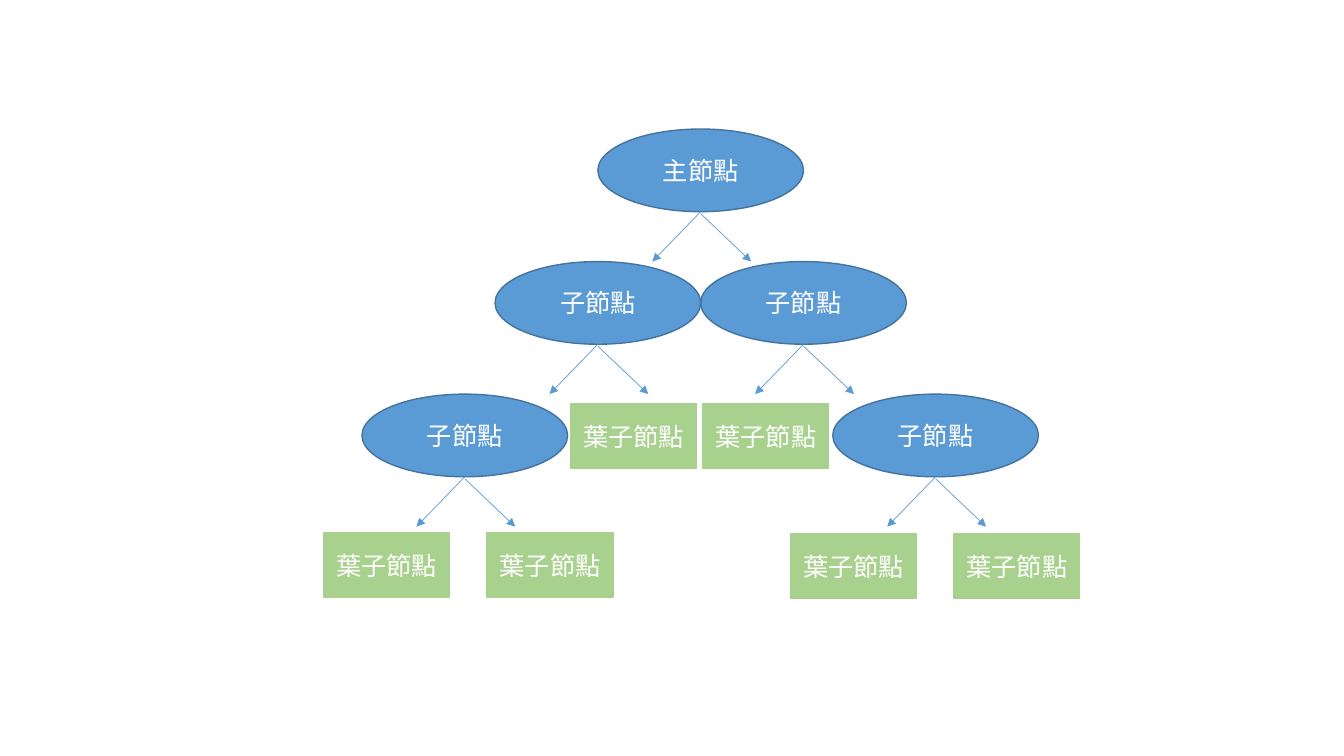
from lxml.etree import SubElement
from pptx import Presentation
from pptx.dml.color import RGBColor
from pptx.enum.shapes import MSO_CONNECTOR, MSO_SHAPE
from pptx.enum.text import MSO_ANCHOR, PP_ALIGN
from pptx.oxml.ns import qn
from pptx.util import Inches, Pt

BLUE = RGBColor(0x5B, 0x9B, 0xD5)
DARK_BLUE = RGBColor(0x43, 0x73, 0x9E)
GREEN = RGBColor(0xA9, 0xD1, 0x8E)
WHITE = RGBColor(0xFF, 0xFF, 0xFF)

NODE_W, NODE_H = 2.04, 0.82
LEAF_W, LEAF_H = 1.25, 0.65
ROOT_TOP, LEVEL_STEP = 1.28, 1.315

BRANCH_NODES = [
    ("主節點", 5.93, 0),
    ("子節點", 4.91, 1),
    ("子節點", 6.95, 1),
    ("子節點", 3.59, 2),
    ("子節點", 8.26, 2),
]
LEAVES = [(5.66, 4), (6.97, 4), (3.21, 5.28), (4.83, 5.28), (7.84, 5.29), (9.46, 5.29)]


def add_box(slide, kind, label, left, top, width, height, fill, outline):
    box = slide.shapes.add_shape(
        kind, Inches(left), Inches(top), Inches(width), Inches(height))
    box.shadow.inherit = False
    box.fill.solid()
    box.fill.fore_color.rgb = fill
    box.line.color.rgb = outline
    box.line.width = Pt(1)
    frame = box.text_frame
    frame.text = label
    frame.word_wrap = True
    frame.margin_left = frame.margin_right = Inches(0.05)
    frame.vertical_anchor = MSO_ANCHOR.MIDDLE
    paragraph = frame.paragraphs[0]
    paragraph.alignment = PP_ALIGN.CENTER
    font = paragraph.runs[0].font
    font.name = "Calibri"
    font.size = Pt(18)
    font.color.rgb = WHITE


def add_arrow(slide, x1, y1, x2, y2):
    arrow = slide.shapes.add_connector(
        MSO_CONNECTOR.STRAIGHT, Inches(x1), Inches(y1), Inches(x2), Inches(y2))
    arrow.line.color.rgb = BLUE
    arrow.line.width = Pt(0.5)
    SubElement(arrow.line._get_or_add_ln(), qn("a:tailEnd"), type="triangle")
    SubElement(arrow._element.spPr, qn("a:effectLst"))


def add_branch(slide, label, left, level):
    top = ROOT_TOP + level * LEVEL_STEP
    add_box(slide, MSO_SHAPE.OVAL, label, left, top, NODE_W, NODE_H, BLUE, DARK_BLUE)
    center, bottom, child_top = left + NODE_W / 2, top + NODE_H, top + LEVEL_STEP
    add_arrow(slide, center, bottom, center - 0.48, child_top)
    add_arrow(slide, center, bottom + 0.02, center + 0.5, child_top)


def add_leaf(slide, left, top):
    add_box(slide, MSO_SHAPE.RECTANGLE, "葉子節點", left, top, LEAF_W, LEAF_H, GREEN, GREEN)


def main():
    deck = Presentation()
    deck.slide_width, deck.slide_height = Inches(13.33), Inches(7.5)
    slide = deck.slides.add_slide(deck.slide_layouts[6])
    for label, left, level in BRANCH_NODES:
        add_branch(slide, label, left, level)
    for left, top in LEAVES:
        add_leaf(slide, left, top)
    deck.save("out.pptx")


if __name__ == "__main__":
    main()
